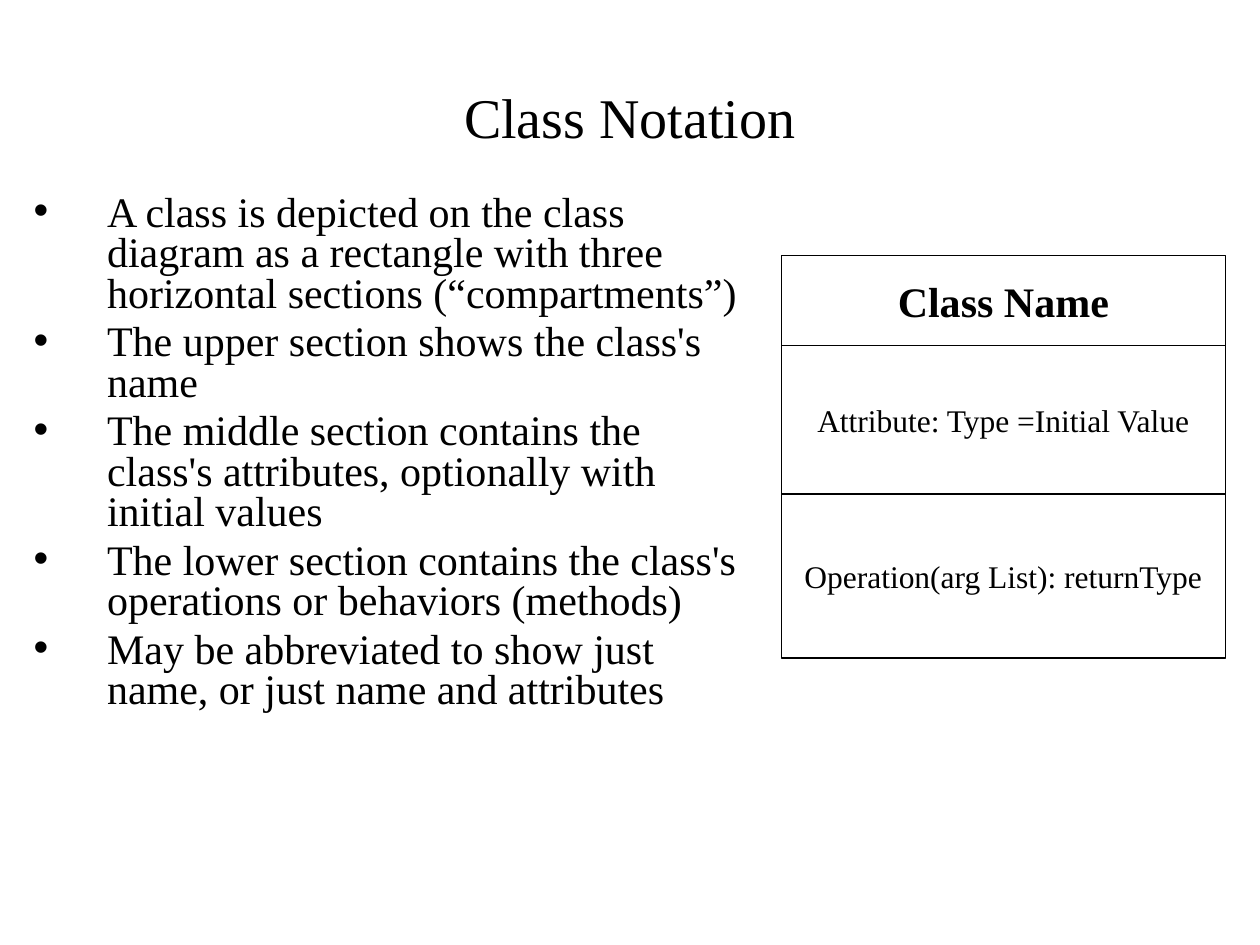
from lxml.etree import SubElement
from pptx import Presentation
from pptx.dml.color import RGBColor
from pptx.enum.shapes import MSO_SHAPE
from pptx.enum.text import MSO_ANCHOR, MSO_AUTO_SIZE, PP_ALIGN
from pptx.oxml.ns import qn
from pptx.util import Pt


def color(hex_value):
    return RGBColor.from_string(hex_value)


def format_font(paragraph, size, bold=False):
    values = {"name": "Times New Roman", "size": Pt(size), "bold": bold}
    for run in paragraph.runs:
        for name, value in values.items():
            setattr(run.font, name, value)
        run.font.color.rgb = color("000000")


prs = Presentation()
prs.slide_width, prs.slide_height = Pt(720), Pt(540)
slide = prs.slides.add_slide(prs.slide_layouts[1])

heading = slide.shapes.title
heading.left, heading.top, heading.width, heading.height = Pt(36), Pt(21.6), Pt(648), Pt(90)
heading.text_frame.text = "Class Notation"
heading.text_frame.vertical_anchor = MSO_ANCHOR.MIDDLE
heading.text_frame.auto_size = MSO_AUTO_SIZE.NONE
heading.text_frame.paragraphs[0].alignment = PP_ALIGN.CENTER
format_font(heading.text_frame.paragraphs[0], 32)

rules = [
    "A class is depicted on the class diagram as a rectangle with three horizontal sections (“compartments”)",
    "The upper section shows the class's name",
    "The middle section contains the class's attributes, optionally with initial values",
    "The lower section contains the class's operations or behaviors (methods)",
    "May be abbreviated to show just name, or just name and attributes",
]
explanation = slide.placeholders[1]
explanation.left, explanation.top = Pt(12), Pt(108)
explanation.width, explanation.height = Pt(426), Pt(378)
explanation.text_frame.text = "\n".join(rules)
explanation.text_frame.auto_size = MSO_AUTO_SIZE.NONE
for index, rule in enumerate(explanation.text_frame.paragraphs):
    properties = rule._p.get_or_add_pPr()
    properties.set("marL", str(Pt(42)))
    properties.set("indent", str(Pt(-42)))
    SubElement(properties, qn("a:buChar"), char="•")
    rule.line_spacing = 0.8
    rule.space_before = Pt(4.8 if index else 0)
    format_font(rule, 24)

compartments = [
    ("Class Name", 51.2, 24, True),
    ("Attribute: Type =Initial Value", 85, 18, False),
    ("Operation(arg List): returnType", 93.6, 18, False),
]
class_box = slide.shapes.add_group_shape()
top = 146.2
for label, height, size, bold in compartments:
    compartment = class_box.shapes.add_shape(
        MSO_SHAPE.RECTANGLE, Pt(446.5), Pt(top), Pt(253.7), Pt(height))
    compartment.shadow.inherit = False
    compartment.fill.background()
    compartment.line.color.rgb = color("000000")
    compartment.line.width = Pt(0.75)
    frame = compartment.text_frame
    frame.text = label
    frame.word_wrap = False
    frame.vertical_anchor = MSO_ANCHOR.MIDDLE
    frame.paragraphs[0].alignment = PP_ALIGN.CENTER
    format_font(frame.paragraphs[0], size, bold)
    top += height

prs.save("out.pptx")
